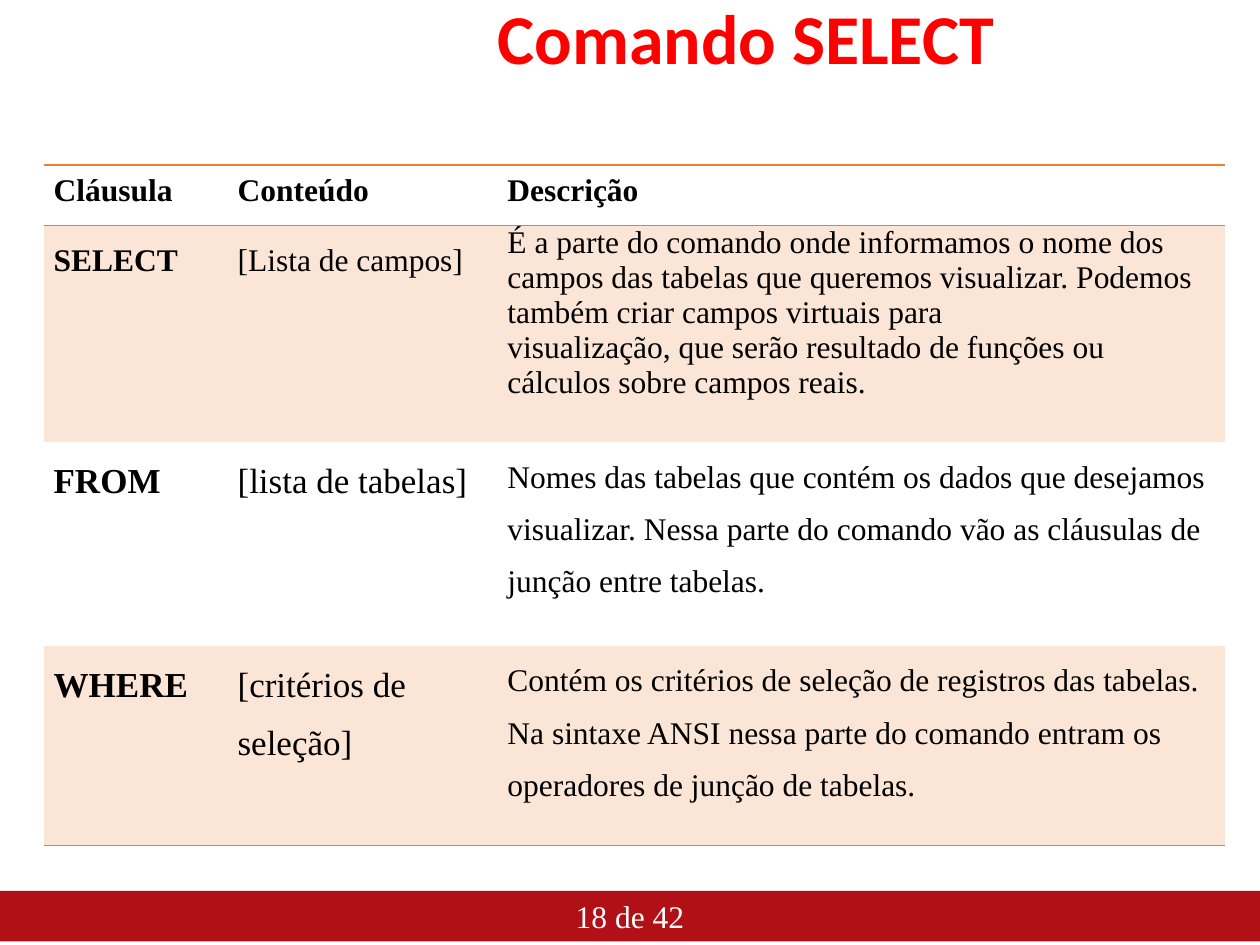
from lxml import etree
from pptx import Presentation
from pptx import util as u
from pptx.dml.color import RGBColor
from pptx.enum import shapes, text
from pptx.oxml import ns

SERIF = "Times New Roman"
ORANGE, BAND = "ED7D31", "FBE5D6"
COLUMNS = [3.71, 5.44, 14.66]
HEADINGS = ["Cláusula", "Conteúdo", "Descrição"]
# Row height, keyword size, clause, content, description paragraphs, line spacing
CLAUSES = [
    (4.37, 18, "SELECT", "[Lista de campos]",
     ["É a parte do comando onde informamos o nome dos campos das tabelas que "
      "queremos visualizar. Podemos também criar campos virtuais para",
      "visualização, que serão resultado de funções ou cálculos sobre campos reais."], 1.0),
    (4.11, 20, "FROM", "[lista de tabelas]",
     ["Nomes das tabelas que contém os dados que desejamos visualizar. "
      "Nessa parte do comando vão as cláusulas de junção entre tabelas."], 1.5),
    (4.01, 20, "WHERE", "[critérios de seleção]",
     ["Contém os critérios de seleção de registros das tabelas. Na sintaxe ANSI "
      "nessa parte do comando entram os operadores de junção de tabelas."], 1.5),
]


def color(value):
    return RGBColor.from_string(value)


def write(frame, lines, size, ink, name=SERIF, bold=False, spacing=None, align=None):
    for index, line in enumerate(lines):
        para = frame.paragraphs[0] if index == 0 else frame.add_paragraph()
        para.text = line
        para.line_spacing = spacing
        para.alignment = align
        font = para.font
        font.name, font.size, font.bold = name, u.Pt(size), bold
        font.color.rgb = color(ink)


def set_borders(cell, edges):
    """Draw 1 pt orange lines on the given edges and hide the others."""
    properties = cell._tc.get_or_add_tcPr()
    for edge in "LRTB":
        line = etree.SubElement(properties, ns.qn(f"a:ln{edge}"), w=str(u.Pt(1)))
        if edge in edges:
            fill = etree.SubElement(line, ns.qn("a:solidFill"))
            etree.SubElement(fill, ns.qn("a:srgbClr"), val=ORANGE)
        else:
            etree.SubElement(line, ns.qn("a:noFill"))


def add_footer(page, left, top, width, height):
    bar = page.shapes.add_shape(shapes.MSO_SHAPE.RECTANGLE,
                                u.Cm(left), u.Cm(top), u.Cm(width), u.Cm(height))
    bar.shadow.inherit = False
    bar.fill.solid()
    bar.fill.fore_color.rgb = color("B11116")
    bar.line.fill.background()
    frame = bar.text_frame
    frame.vertical_anchor = text.MSO_ANCHOR.MIDDLE
    frame.margin_top = frame.margin_bottom = 0
    write(frame, ["18 de 42"], 18, "FFFFFF", align=text.PP_ALIGN.CENTER)


def add_title(page, left, top, width, height):
    box = page.shapes.add_textbox(u.Cm(left), u.Cm(top), u.Cm(width), u.Cm(height))
    frame = box.text_frame
    frame.word_wrap = True
    frame.vertical_anchor = text.MSO_ANCHOR.MIDDLE
    frame.margin_top = frame.margin_bottom = 0
    write(frame, ["Comando SELECT"], 40, "FF0000", "Calibri", True, 0.9,
          text.PP_ALIGN.CENTER)


def fill_cell(cell, lines, size, bold, spacing, edges, banded):
    cell.margin_left = cell.margin_right = u.Cm(0.19)
    cell.margin_top = cell.margin_bottom = 0
    set_borders(cell, edges)
    if banded:
        cell.fill.solid()
        cell.fill.fore_color.rgb = color(BAND)
    else:
        cell.fill.background()
    write(cell.text_frame, lines, size, "000000", bold=bold, spacing=spacing)


def add_clause_table(page, left, top):
    heights = [1.22] + [clause[0] for clause in CLAUSES]
    table = page.shapes.add_table(len(heights), len(COLUMNS), u.Cm(left), u.Cm(top),
                                  u.Cm(sum(COLUMNS)), u.Cm(sum(heights))).table
    table.first_row = table.horz_banding = False
    for column, width in zip(table.columns, COLUMNS):
        column.width = u.Cm(width)
    for row, height in zip(table.rows, heights):
        row.height = u.Cm(height)

    # Header
    for column, heading in enumerate(HEADINGS):
        fill_cell(table.cell(0, column), [heading], 18, True, u.Pt(24.6), "TB", False)

    # Clauses, with every other row tinted
    for row, (_, size, clause, content, description, spacing) in enumerate(CLAUSES, 1):
        edges = {1: "T", len(CLAUSES): "B"}.get(row, "")
        banded = row % 2 == 1
        fill_cell(table.cell(row, 0), [clause], size, True, 1.5, edges, banded)
        fill_cell(table.cell(row, 1), [content], size, False, 1.5, edges, banded)
        fill_cell(table.cell(row, 2), description, 18, False, spacing, edges, banded)


def main():
    deck = Presentation()
    deck.slide_width, deck.slide_height = u.Cm(25.4), u.Cm(19.05)
    page = deck.slides.add_slide(deck.slide_layouts[6])
    add_footer(page, 0, 17.96, 25.4, 1.02)
    add_title(page, 4.7, 0, 20.68, 1.7)
    add_clause_table(page, 0.89, 3.33)
    deck.save("out.pptx")


if __name__ == "__main__":
    main()
